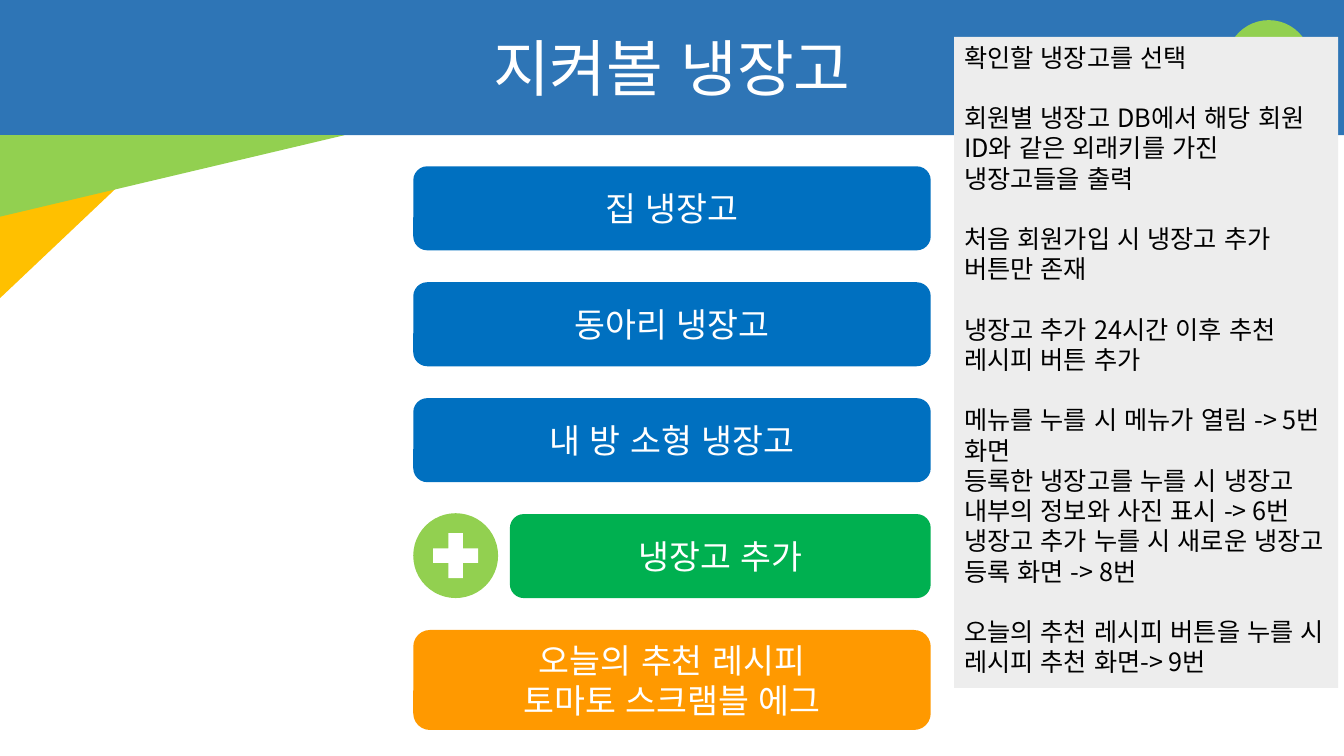
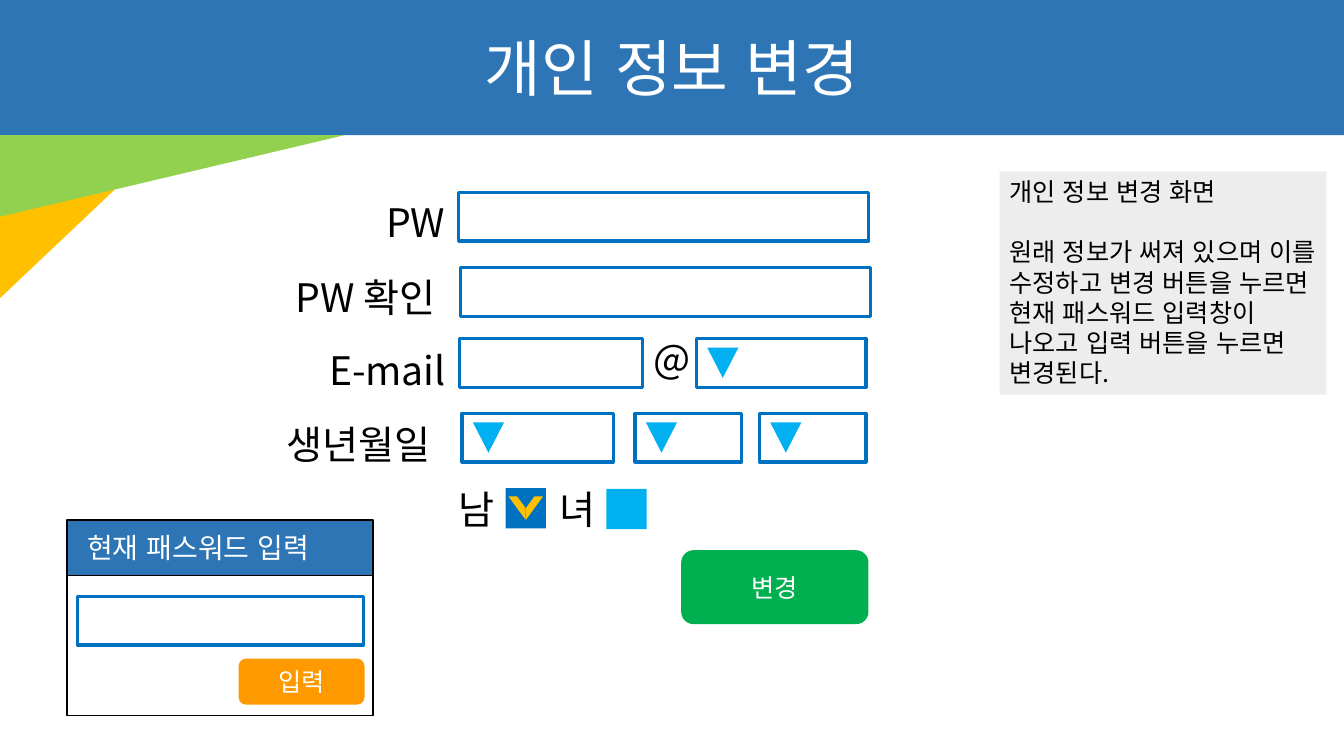
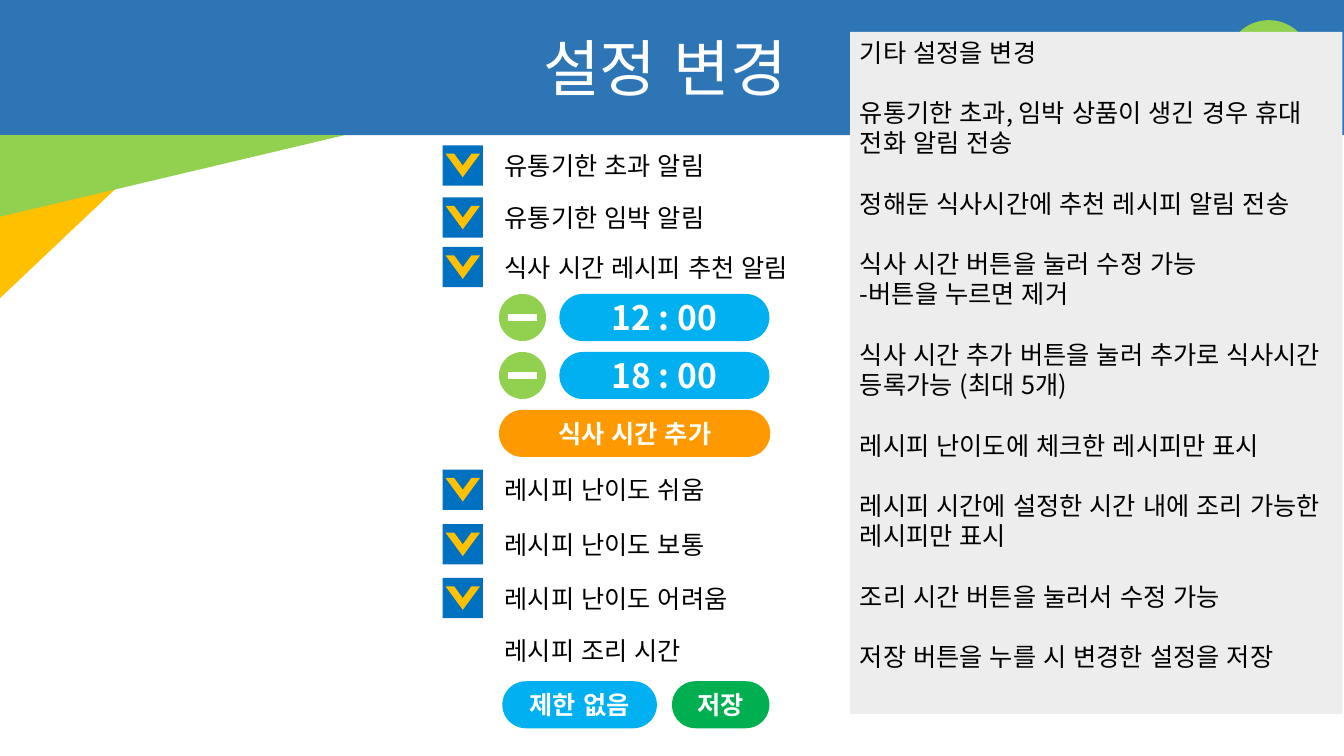
"""Build three screen plans for a fridge app: fridge list, profile form and settings."""
from dataclasses import dataclass

import pptx
import pptx.dml.color
import pptx.enum.lang
import pptx.enum.shapes
import pptx.enum.text
import pptx.oxml.ns
import pptx.util

KIND = pptx.enum.shapes.MSO_SHAPE
ALIGN = pptx.enum.text.PP_ALIGN
ANCHOR = pptx.enum.text.MSO_ANCHOR
KOREAN = pptx.enum.lang.MSO_LANGUAGE_ID.KOREAN
FACE = "Noto Sans CJK KR"
COLS, ROWS = 160, 90
CELL = pptx.util.Inches(1 / 12)
LEAD = 1.2
HUES = {
    "band": "2E75B6", "blue": "0070C0", "sky": "00B0F0", "lime": "92D050",
    "green": "00B050", "gold": "FFC000", "orange": "FF9900", "gray": "EDEDED",
    "white": "FFFFFF", "black": "000000",
}
FRAME = {
    "word_wrap": True,
    "auto_size": pptx.enum.text.MSO_AUTO_SIZE.NONE,
    "margin_left": pptx.util.Inches(0.1),
    "margin_right": pptx.util.Inches(0.1),
    "margin_top": pptx.util.Inches(0.05),
    "margin_bottom": pptx.util.Inches(0.05),
}
Groups = tuple[tuple[str, ...], ...]


@dataclass(frozen=True)
class Box:
    x: float
    y: float
    w: float
    h: float

    def place(self) -> dict:
        sides = {"left": self.x, "top": self.y, "width": self.w, "height": self.h}
        return {name: round(cells * CELL) for name, cells in sides.items()}


@dataclass(frozen=True)
class Style:
    size: float
    hue: str = "white"
    bold: bool = False
    align: ALIGN = ALIGN.CENTER
    anchor: ANCHOR = ANCHOR.MIDDLE


@dataclass(frozen=True)
class Button:
    box: Box
    fill: str
    lines: tuple[str, ...]
    style: Style


HEAD = Style(44, anchor=ANCHOR.TOP)
BIG = Style(24)
SMALL = Style(18)
TIME = Style(24, bold=True)
PILL = Style(18, bold=True)
BODY = Style(18, "black", align=ALIGN.LEFT, anchor=ANCHOR.TOP)
FIELD = Style(28, "black", align=ALIGN.LEFT, anchor=ANCHOR.TOP)
POPUP = Style(20, align=ALIGN.LEFT, anchor=ANCHOR.TOP)


def apply(thing, values: dict) -> None:
    for name, value in values.items():
        setattr(thing, name, value)


def tint(name: str) -> pptx.dml.color.RGBColor:
    return pptx.dml.color.RGBColor.from_string(HUES[name])


def write(frame, groups: Groups, style: Style) -> None:
    apply(frame, FRAME | {"vertical_anchor": style.anchor})
    lead = pptx.util.Pt(style.size * LEAD)
    lines = [(text, bool(g) and not n)
             for g, group in enumerate(groups) for n, text in enumerate(group)]
    for n, (text, gap) in enumerate(lines):
        para = frame.add_paragraph() if n else frame.paragraphs[0]
        apply(para, {"alignment": style.align, "line_spacing": lead,
                     "space_before": lead if gap else pptx.util.Pt(0)})
        run = para.add_run()
        run.text = text
        apply(run.font, {"size": pptx.util.Pt(style.size), "bold": style.bold,
                         "name": FACE, "language_id": KOREAN})
        run.font.color.rgb = tint(style.hue)
        east = run.font._element.makeelement(pptx.oxml.ns.qn("a:ea"), {"typeface": FACE})
        run.font._element.find(pptx.oxml.ns.qn("a:latin")).addnext(east)


def draw(slide, kind: KIND, box: Box, fill: str = "", line: str = "",
         width: float = 1, flip: str = ""):
    shape = slide.shapes.add_shape(kind, *box.place().values())
    shape.shadow.inherit = False
    if fill:
        shape.fill.solid()
        shape.fill.fore_color.rgb = tint(fill)
    else:
        shape.fill.background()
    if line:
        shape.line.color.rgb = tint(line)
        shape.line.width = pptx.util.Pt(width)
    else:
        shape.line.fill.background()
    if flip:
        shape.element.spPr.get_or_add_xfrm().set(flip, "1")
    return shape


def label(slide, text: str, x: float, y: float, w: float, style: Style) -> None:
    box = Box(x, y, w, style.size * LEAD / 6 + 1.2)
    write(slide.shapes.add_textbox(*box.place().values()).text_frame, ((text,),), style)


def note(slide, box: Box, groups: Groups) -> None:
    write(draw(slide, KIND.RECTANGLE, box, "gray").text_frame, groups, BODY)


def press(slide, button: Button, round_end: bool = False) -> None:
    shape = draw(slide, KIND.ROUNDED_RECTANGLE, button.box, button.fill)
    if round_end:
        shape.adjustments[0] = 0.5
    write(shape.text_frame, (button.lines,), button.style)


def field(slide, x: float, y: float, w: float, arrow: bool = False) -> None:
    draw(slide, KIND.RECTANGLE, Box(x, y, w, 5.8), line="blue", width=2.25)
    if arrow:
        draw(slide, KIND.ISOSCELES_TRIANGLE, Box(x + 1.3, y + 1.1, 3.7, 3.6),
             "sky", flip="flipV")


def check(slide, x: float, y: float) -> None:
    draw(slide, KIND.RECTANGLE, Box(x, y, 4.8, 4.8), "blue")
    for shift, flip in ((2.4, ""), (0.35, "flipH")):
        draw(slide, KIND.DIAGONAL_STRIPE, Box(x + shift, y + 1, 2.05, 2.8), "gold", flip=flip)


def disc(slide, x: float, y: float, size: float) -> None:
    draw(slide, KIND.OVAL, Box(x, y, size, size), "lime")


def start(deck, text: str, box: Box = Box(51.5, 3, 57, 10.1)):
    slide = deck.slides.add_slide(deck.slide_layouts[5])
    draw(slide, KIND.RECTANGLE, Box(0, 0, COLS, 16.1), "band")
    for w, h, hue in ((20.5, 19.4, "gold"), (41, 9.7, "lime")):
        last = draw(slide, KIND.RIGHT_TRIANGLE, Box(0, 16.1, w, h), hue, flip="flipV")
    title = slide.shapes.title
    apply(title, box.place())
    write(title.text_frame, ((text,),), HEAD)
    last.element.addnext(title.element)
    return slide


def fridges(deck) -> None:
    slide = start(deck, "지켜볼 냉장고")
    left, top, step, wide = 49.2, 19.8, 13.8, 61.6
    for n, text in enumerate(("집 냉장고", "동아리 냉장고", "내 방 소형 냉장고")):
        press(slide, Button(Box(left, top + n * step, wide, 10), "blue", (text,), BIG))
    row = top + 3 * step
    press(slide, Button(Box(60.7, row, 50.1, 10), "green", ("냉장고 추가",), BIG))
    disc(slide, left, row - 0.1, 10.1)
    draw(slide, KIND.MATH_PLUS, Box(left + 1.4, row + 1.3, 7.3, 7.3), "white")
    press(slide, Button(Box(left, top + 4 * step, wide, 11.9), "orange",
                        ("오늘의 추천 레시피", "토마토 스크램블 에그"), BIG))
    disc(slide, 146, 2.4, 10.1)
    note(slide, Box(113.6, 4.4, 45.7, 77.5), (
        ("확인할 냉장고를 선택",),
        ("회원별 냉장고 DB에서 해당 회원 ID와 같은 외래키를 가진 냉장고들을 출력",),
        ("처음 회원가입 시 냉장고 추가 버튼만 존재",),
        ("냉장고 추가 24시간 이후 추천 레시피 버튼 추가",),
        ("메뉴를 누를 시 메뉴가 열림 -> 5번 화면",
         "등록한 냉장고를 누를 시 냉장고 내부의 정보와 사진 표시 -> 6번",
         "냉장고 추가 누를 시 새로운 냉장고 등록 화면 -> 8번"),
        ("오늘의 추천 레시피 버튼을 누를 시 레시피 추천 화면-> 9번",),
    ))


def profile(deck) -> None:
    slide = start(deck, "개인 정보 변경")
    note(slide, Box(119, 20.4, 38.9, 26.6), (
        ("개인 정보 변경 화면",),
        ("원래 정보가 써져 있으며 이를 수정하고 변경 버튼을 누르면 현재 패스워드 "
         "입력창이 나오고 입력 버튼을 누르면 변경된다.",),
    ))
    for text, x, y, w in (("PW", 44.8, 23, 9.8), ("PW 확인", 34, 32, 22),
                          ("E-mail", 38, 40.6, 18), ("@", 76.6, 39.2, 8),
                          ("생년월일", 32.9, 49.4, 22), ("남", 53.4, 57.2, 8),
                          ("녀", 65.4, 57.2, 8)):
        label(slide, text, x, y, w, FIELD)
    for x, y, w, arrow in ((54.6, 22.9, 48.8, False), (54.8, 31.9, 48.8, False),
                           (54.7, 40.3, 21.8, False), (82.9, 40.3, 20.2, True),
                           (55, 49.2, 18, True), (75.6, 49.2, 12.7, True),
                           (90.4, 49.2, 12.7, True)):
        field(slide, x, y, w, arrow)
    check(slide, 60.2, 58.1)
    draw(slide, KIND.RECTANGLE, Box(72.2, 58.2, 4.8, 4.8), "sky")
    press(slide, Button(Box(81.1, 65.5, 22.3, 8.8), "green", ("변경",), SMALL))
    for y, hue in ((61.9, "band"), (68.5, "white")):
        draw(slide, KIND.RECTANGLE, Box(8, y, 36.4, 16.7), hue, "black")
    label(slide, "현재 패스워드 입력", 9.2, 62.6, 35.2, POPUP)
    press(slide, Button(Box(28.4, 78.4, 15, 5.5), "orange", ("입력",), SMALL))
    field(slide, 9.2, 71, 34.1)


def settings(deck) -> None:
    slide = start(deck, "설정 변경", Box(38.5, 3, 81.4, 10.1))
    disc(slide, 146, 2.4, 10.1)
    note(slide, Box(101.2, 3.8, 58.6, 81.2), (
        ("기타 설정을 변경",),
        ("유통기한 초과, 임박 상품이 생긴 경우 휴대 전화 알림 전송",),
        ("정해둔 식사시간에 추천 레시피 알림 전송",),
        ("식사 시간 버튼을 눌러 수정 가능", "-버튼을 누르면 제거"),
        ("식사 시간 추가 버튼을 눌러 추가로 식사시간 등록가능 (최대 5개)",),
        ("레시피 난이도에 체크한 레시피만 표시",),
        ("레시피 시간에 설정한 시간 내에 조리 가능한 레시피만 표시",),
        ("조리 시간 버튼을 눌러서 수정 가능",),
        ("저장 버튼을 누를 시 변경한 설정을 저장",),
    ))
    for text, y, mark in (("유통기한 초과 알림", 17.3, True),
                          ("유통기한 임박 알림", 23.5, True),
                          ("식사 시간 레시피 추천 알림", 29.4, True),
                          ("레시피 난이도 쉬움", 55.9, True),
                          ("레시피 난이도 보통", 62.4, True),
                          ("레시피 난이도 어려움", 68.8, True),
                          ("레시피 조리 시간", 75.1, False)):
        label(slide, text, 58.9, y, 40, BODY)
        if mark:
            check(slide, 52.7, y)
    top, step, high = 35, 6.9, 5.6
    for n, text in enumerate(("12 : 00", "18 : 00")):
        y = top + n * step
        press(slide, Button(Box(66.6, y, 25, high), "sky", (text,), TIME), True)
        disc(slide, 59.4, y, high)
        draw(slide, KIND.MATH_MINUS, Box(59.9, y + 0.9, 4.7, 3.8), "white")
    for x, y, w, hue, text in ((59.4, top + 2 * step, 32.3, "orange", "식사 시간 추가"),
                               (59.8, 81.1, 18.4, "sky", "제한 없음"),
                               (80, 81.1, 11.6, "green", "저장")):
        press(slide, Button(Box(x, y, w, high), hue, (text,), PILL), True)


def main() -> None:
    deck = pptx.Presentation()
    apply(deck, {"slide_width": COLS * CELL, "slide_height": ROWS * CELL})
    for build in (fridges, profile, settings):
        build(deck)
    deck.save("out.pptx")


if __name__ == "__main__":
    main()
